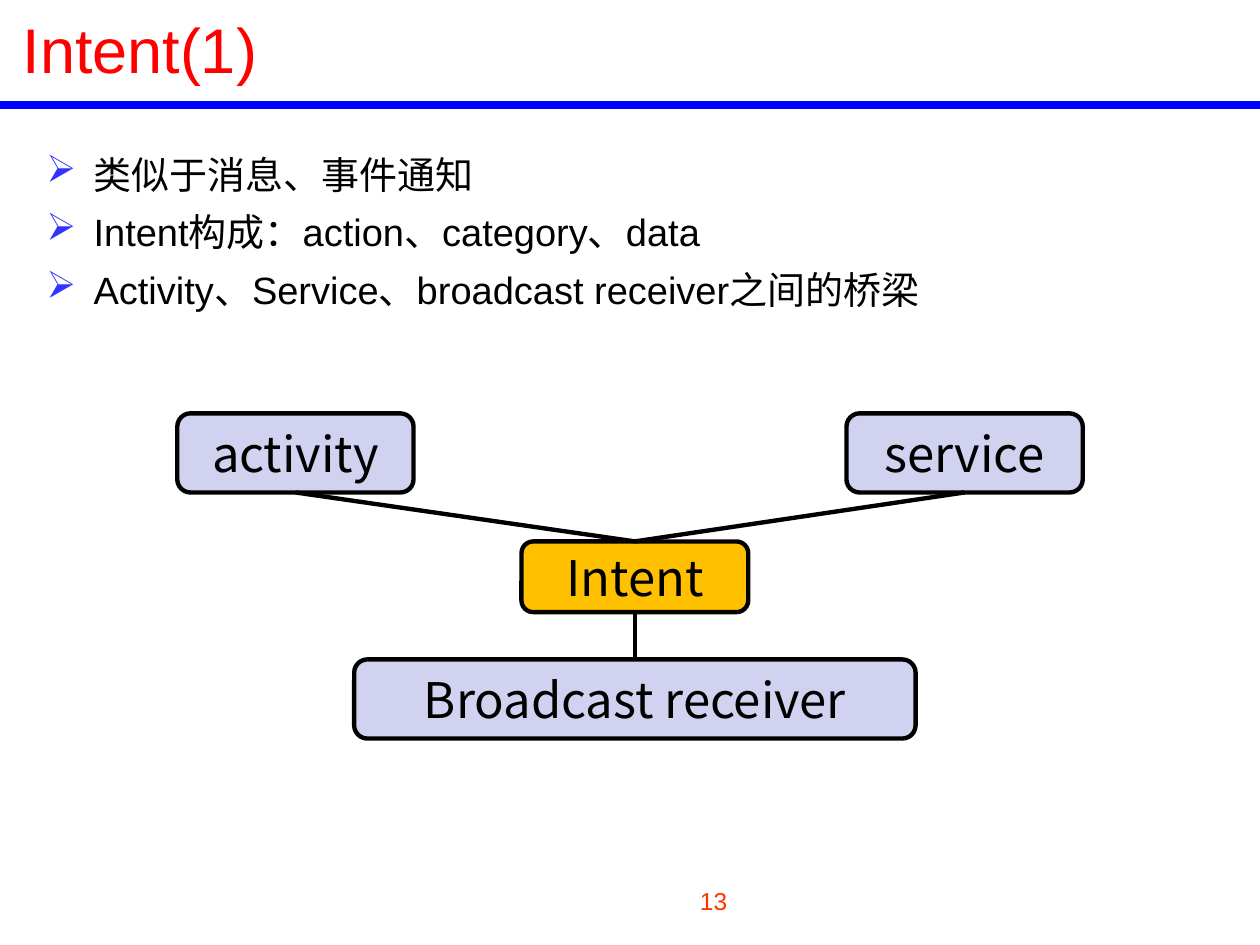
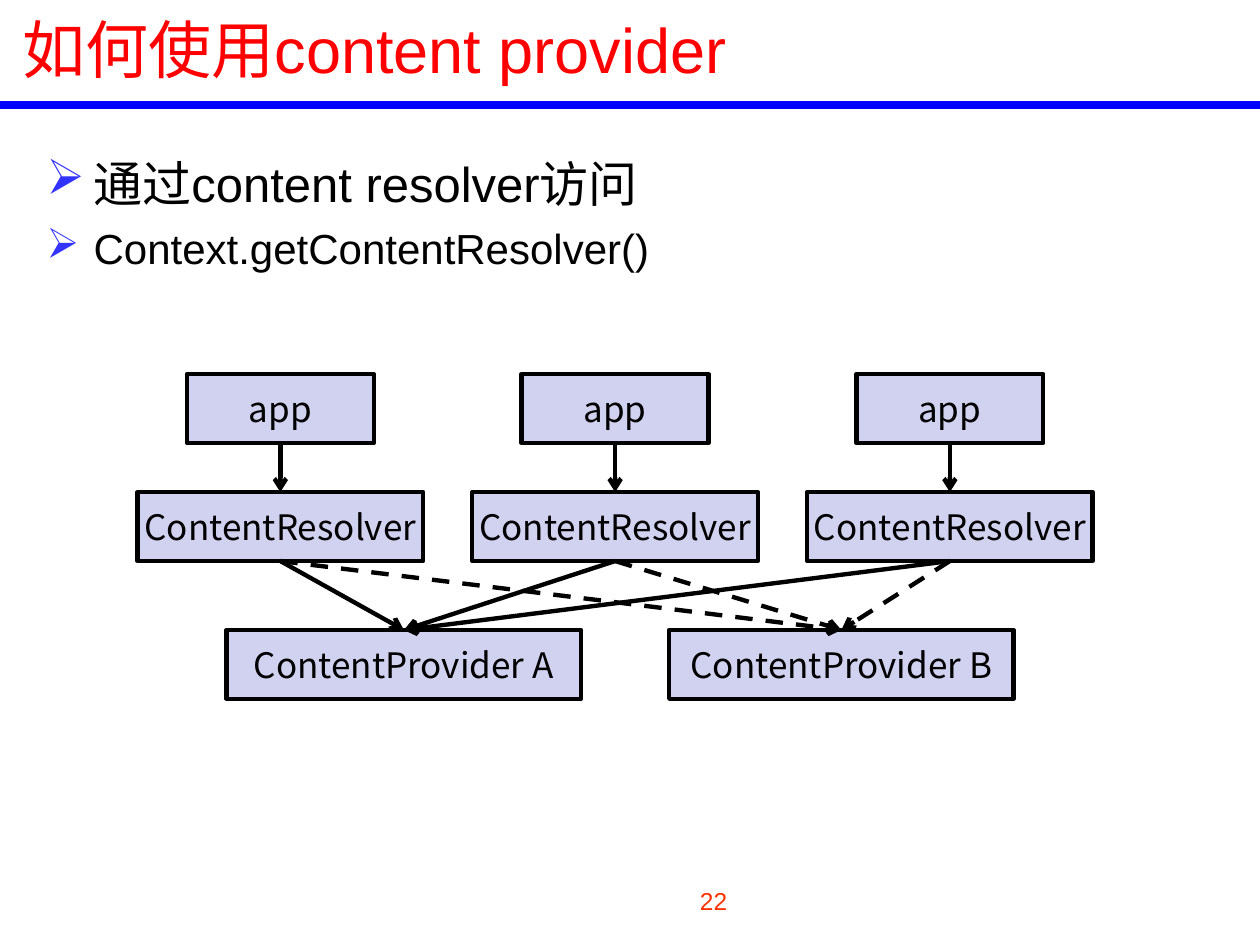
from lxml.etree import SubElement
from pptx import Presentation
from pptx.dml.color import RGBColor
from pptx.enum.dml import MSO_LINE
from pptx.enum.shapes import MSO_CONNECTOR as CONNECTOR, MSO_SHAPE as SHAPE
from pptx.enum.text import MSO_ANCHOR as ANCHOR, PP_ALIGN as ALIGN
from pptx.oxml.ns import qn
from pptx.util import Pt

RED = RGBColor(0xFF, 0x00, 0x00)
ORANGE_RED = RGBColor(0xFF, 0x33, 0x00)
BLUE = RGBColor(0x00, 0x00, 0xFF)
BLACK = RGBColor(0x00, 0x00, 0x00)
LAVENDER = RGBColor(0xD1, 0xD1, 0xF0)
AMBER = RGBColor(0xFF, 0xC0, 0x00)
BULLET_COLOR = "3333FF"
TEXT_FONT = "Arial"
BOX_FONT = "Noto Sans CJK SC"
SLIDE_WIDTH, SLIDE_HEIGHT = 720, 540
LINE_WIDTH = 2.5
TOP, BOTTOM = 0, 2


def format_paragraph(paragraph, font_name, size, color):
    """Set the Latin and East Asian font, size and colour of every run."""
    for run in paragraph.runs:
        run.font.name = font_name
        run.font.size = Pt(size)
        run.font.color.rgb = color
        SubElement(run.font._element, qn("a:ea"), typeface=font_name)


def add_text_box(slide, left, top, width, height):
    """Add an empty wrapping text box and return its text frame."""
    box = slide.shapes.add_textbox(Pt(left), Pt(top), Pt(width), Pt(height))
    box.text_frame.word_wrap = True
    return box.text_frame


def add_line(slide, start, end, color=BLACK, width=LINE_WIDTH):
    """Add a straight line without shadow between two points."""
    line = slide.shapes.add_connector(
        CONNECTOR.STRAIGHT, *(Pt(value) for value in (*start, *end)))
    line.line.color.rgb = color
    line.line.width = Pt(width)
    SubElement(line._element.spPr, qn("a:effectLst"))
    return line


def join(slide, upper, lower, arrow=False, dashed=False):
    """Join the bottom of one box to the top of another."""
    line = add_line(slide, (0, 0), (0, 0))
    line.begin_connect(upper, BOTTOM)
    line.end_connect(lower, TOP)
    if dashed:
        line.line.dash_style = MSO_LINE.DASH
    if arrow:
        SubElement(line.line._get_or_add_ln(), qn("a:tailEnd"), type="arrow")


def add_box(slide, kind, text, center, top, width, height, size, fill=LAVENDER):
    """Add a labelled box centred on a horizontal position."""
    box = slide.shapes.add_shape(
        kind, Pt(center - width / 2), Pt(top), Pt(width), Pt(height))
    box.shadow.inherit = False
    box.fill.solid()
    box.fill.fore_color.rgb = fill
    box.line.color.rgb = BLACK
    box.line.width = Pt(LINE_WIDTH)
    frame = box.text_frame
    frame.margin_left = frame.margin_right = Pt(0)
    frame.margin_top = frame.margin_bottom = Pt(0)
    frame.word_wrap = False
    frame.vertical_anchor = ANCHOR.MIDDLE
    frame.text = text
    frame.paragraphs[0].alignment = ALIGN.CENTER
    format_paragraph(frame.paragraphs[0], BOX_FONT, size, BLACK)
    return box


def add_bullets(slide, top, height, items):
    """Add a bulleted list of (text, size, space before, level) items."""
    frame = add_text_box(slide, 19.4, top, 680.4, height)
    frame.text = "\n".join(item[0] for item in items)
    for paragraph, (_, size, space, level) in zip(frame.paragraphs, items):
        paragraph.level = level
        paragraph.space_before = Pt(space)
        properties = paragraph._p.get_or_add_pPr()
        properties.set("marL", str(Pt(27)))
        properties.set("indent", str(Pt(-27)))
        color = SubElement(properties, qn("a:buClr"))
        SubElement(color, qn("a:srgbClr"), val=BULLET_COLOR)
        SubElement(properties, qn("a:buChar"), char="➢")
        format_paragraph(paragraph, TEXT_FONT, size, BLACK)


def add_slide(presentation, title, number):
    """Add a blank slide with the shared title, rule and page number."""
    slide = presentation.slides.add_slide(presentation.slide_layouts[6])
    add_line(slide, (0, 60.2), (SLIDE_WIDTH, 60.2), BLUE, 4.5)
    title_frame = add_text_box(slide, 5.8, 0, 598.3, 54.7)
    title_frame.vertical_anchor = ANCHOR.MIDDLE
    title_frame.text = title
    format_paragraph(title_frame.paragraphs[0], TEXT_FONT, 36, RED)
    number_frame = add_text_box(slide, 326.2, 502.6, 96.5, 17.3)
    number_frame.text = str(number)
    number_frame.paragraphs[0].alignment = ALIGN.RIGHT
    format_paragraph(number_frame.paragraphs[0], TEXT_FONT, 14, ORANGE_RED)
    return slide


def build_intent_slide(presentation):
    """Show the intent as the bridge between three components."""
    slide = add_slide(presentation, "Intent(1)", 13)
    lines = ("类似于消息、事件通知",
             "Intent构成：action、category、data",
             "Activity、Service、broadcast receiver之间的桥梁")
    add_bullets(slide, 82.8, 103, [(line, 21.7, 7, 0) for line in lines])
    middle = 362.8

    def component(text, center, top, width, height=45.2, fill=LAVENDER):
        """Add one rounded component box."""
        return add_box(slide, SHAPE.ROUNDED_RECTANGLE, text, center, top,
                       width, height, 28, fill)

    intent = component("Intent", middle, 309.4, 129.6, 40.4, AMBER)
    activity = component("activity", 168.8, 236.2, 135)
    service = component("service", 551.2, 236.2, 135)
    receiver = component("Broadcast receiver", middle, 376.8, 320.8)
    for upper, lower in ((activity, intent), (service, intent), (intent, receiver)):
        join(slide, upper, lower)


def build_provider_slide(presentation):
    """Show apps reaching content providers through resolvers."""
    slide = add_slide(presentation, "如何使用content provider", 22)
    add_bullets(slide, 84.2, 101.5, [("通过content resolver访问", 28, 7, 0),
                                     ("Context.getContentResolver()", 24, 6, 1)])

    def node(text, center, top, width):
        """Add one rectangular node."""
        return add_box(slide, SHAPE.RECTANGLE, text, center, top, width, 39.4, 20)

    provider_a = node("ContentProvider A", 230.8, 360, 202.6)
    provider_b = node("ContentProvider B", 480.8, 360, 196.8)
    for column in range(3):
        center = 160.2 + column * 191.3
        app = node("app", center, 213.8, 106.8)
        resolver = node("ContentResolver", center, 281.2, 163.2)
        join(slide, app, resolver, arrow=True)
        join(slide, resolver, provider_a, arrow=True)
        join(slide, resolver, provider_b, arrow=True, dashed=True)


def main():
    """Build and save the presentation."""
    presentation = Presentation()
    presentation.slide_width = Pt(SLIDE_WIDTH)
    presentation.slide_height = Pt(SLIDE_HEIGHT)
    build_intent_slide(presentation)
    build_provider_slide(presentation)
    presentation.save("out.pptx")


if __name__ == "__main__":
    main()
